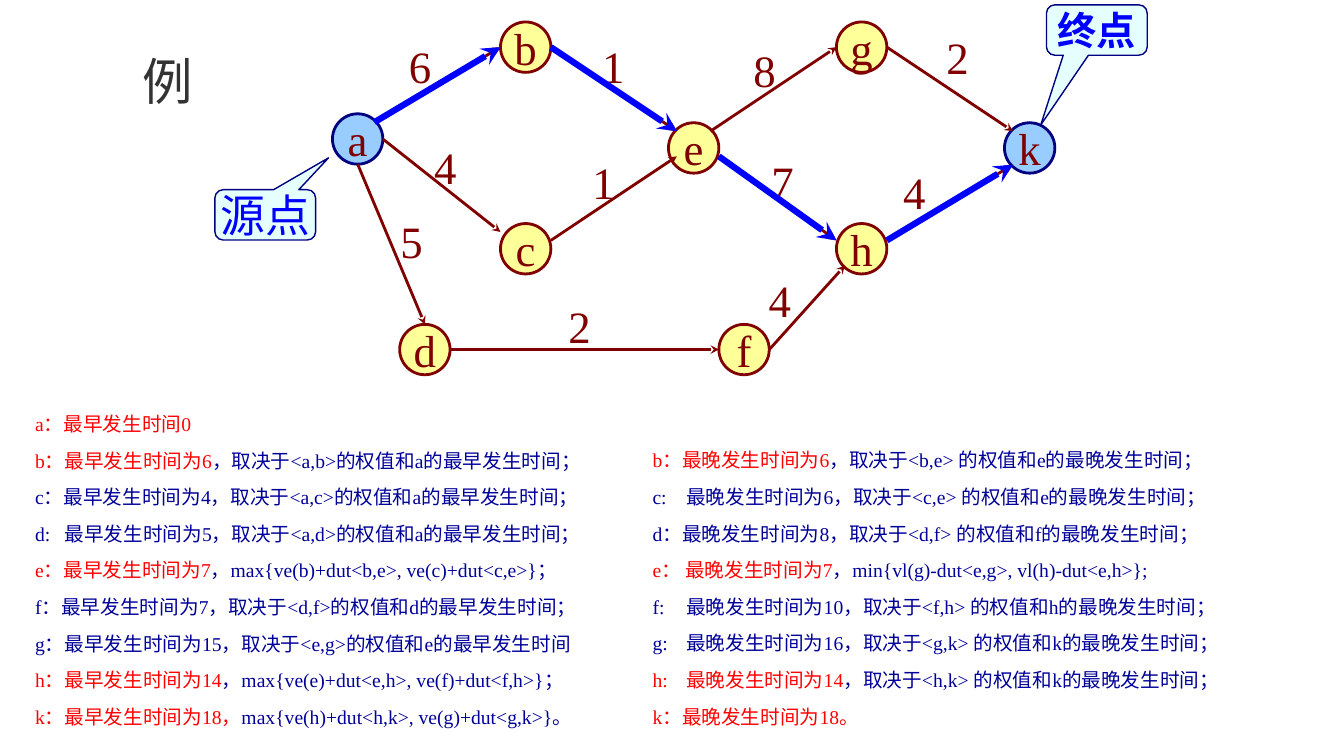
from lxml import etree
from pptx import Presentation
from pptx.dml.color import RGBColor
from pptx.enum.shapes import MSO_CONNECTOR, MSO_SHAPE
from pptx.enum.text import MSO_ANCHOR, MSO_AUTO_SIZE, PP_ALIGN
from pptx.oxml.ns import qn
from pptx.util import Pt

MAROON = RGBColor(0x80, 0x00, 0x00)
NAVY = RGBColor(0x00, 0x00, 0x80)
BLUE = RGBColor(0x00, 0x00, 0xFF)
DARK_BLUE = RGBColor(0x00, 0x00, 0x99)
RED = RGBColor(0xFF, 0x00, 0x00)
GREY = RGBColor(0x33, 0x33, 0x33)
YELLOW = RGBColor(0xFF, 0xFF, 0x99)
SKY = RGBColor(0x99, 0xCC, 0xFF)
PALE_CYAN = RGBColor(0xCC, 0xFF, 0xFF)

RADIUS = 18
NODES = {
    "a": (255.5, 99.3), "b": (375.5, 33.7), "c": (375.5, 177.7),
    "d": (303.5, 249.7), "e": (495.5, 105.7), "f": (531.5, 249.7),
    "g": (615.5, 33.7), "h": (615.5, 177.7), "k": (735.5, 105.7),
}
ENDS = ("a", "k")
EDGES = [
    ("a", (12, -12), "b", (-18, 0), "6", (285, 24)),
    ("a", (18, 0), "c", (-18, -12), "4", (303, 96)),
    ("c", (18, -6), "e", (-12, 6), "1", (416, 107)),
    ("b", (18, 0), "e", (-12, -12), "1", (423, 24)),
    ("e", (12, -12), "g", (-18, 0), "8", (531, 27)),
    ("g", (18, 0), "k", (-12, -12), "2", (669, 18)),
    ("h", (18, -6), "k", (-12, 12), "4", (638, 114)),
    ("e", (18, 6), "h", (-18, -6), "7", (544, 106)),
    ("a", (0, 18), "d", (0, -18), "5", (279, 149)),
    ("d", (18, 0), "f", (-18, 0), "2", (399, 209.5)),
    ("f", (18, 0), "h", (-12, 12), "4", (542, 191.5)),
]
CRITICAL = ("ab", "be", "eh", "hk")

EARLIEST = [
    ("a：最早发生时间0", ""),
    ("b：最早发生时间为6", "，取决于<a,b>的权值和a的最早发生时间；"),
    ("", "c：最早发生时间为4，取决于<a,c>的权值和a的最早发生时间；"),
    ("", "d:\t最早发生时间为5，取决于<a,d>的权值和a的最早发生时间；"),
    ("e：最早发生时间为7", "，max{ve(b)+dut<b,e>, ve(c)+dut<c,e>}；"),
    ("", "f：最早发生时间为7，取决于<d,f>的权值和d的最早发生时间；"),
    ("", "g：最早发生时间为15，取决于<e,g>的权值和e的最早发生时间"),
    ("h：最早发生时间为14", "，max{ve(e)+dut<e,h>, ve(f)+dut<f,h>}；"),
    ("k：最早发生时间为18，", "max{ve(h)+dut<h,k>, ve(g)+dut<g,k>}。"),
]
LATEST = [
    ("b：最晚发生时间为6", "，取决于<b,e> 的权值和e的最晚发生时间；"),
    ("", "c:\t最晚发生时间为6，取决于<c,e> 的权值和e的最晚发生时间；"),
    ("", "d：最晚发生时间为8，取决于<d,f> 的权值和f的最晚发生时间；"),
    ("e： 最晚发生时间为7", "，min{vl(g)-dut<e,g>, vl(h)-dut<e,h>};"),
    ("", "f:\t最晚发生时间为10，取决于<f,h> 的权值和h的最晚发生时间；"),
    ("", "g:\t最晚发生时间为16，取决于<g,k> 的权值和k的最晚发生时间；"),
    ("h:\t最晚发生时间为14", "，取决于<h,k> 的权值和k的最晚发生时间；"),
    ("k：最晚发生时间为18。", ""),
]


class Board:
    font = "Times New Roman"

    def __init__(self, s):
        self.s = s
        self.shapes = s.shapes

    def open_group(self):
        self.shapes = self.s.shapes.add_group_shape().shapes

    def close_group(self):
        self.shapes = self.s.shapes

    def style(self, r, size, color, bold=False):
        r.font.name = self.font
        r.font.size = Pt(size)
        r.font.bold = bold
        r.font.color.rgb = color

    def shape(self, kind, box, fill, line, width, text, size, color, bold=False):
        sp = self.shapes.add_shape(kind, *map(Pt, box))
        sp.shadow.inherit = False
        sp.fill.solid()
        sp.fill.fore_color.rgb = fill
        sp.line.color.rgb = line
        sp.line.width = Pt(width)
        tf = sp.text_frame
        tf.text = text
        tf.word_wrap = False
        tf.vertical_anchor = MSO_ANCHOR.MIDDLE
        p = tf.paragraphs[0]
        p.alignment = PP_ALIGN.CENTER
        self.style(p.runs[0], size, color, bold)
        return sp

    def node(self, name):
        x, y = NODES[name]
        fill, line = (SKY, NAVY) if name in ENDS else (YELLOW, MAROON)
        box = (x - RADIUS, y - RADIUS, 2 * RADIUS, 2 * RADIUS)
        self.shape(MSO_SHAPE.OVAL, box, fill, line, 2, name, 32, MAROON)

    def callout(self, x, y, text, size, bold, tip):
        sp = self.shape(MSO_SHAPE.ROUNDED_RECTANGULAR_CALLOUT, (x, y, 72, 36),
                        PALE_CYAN, NAVY, 1, text, size, BLUE, bold)
        for i, value in enumerate((*tip, 0.167)):
            sp.adjustments[i] = value
        rgb = sp.element.spPr.find(qn("a:solidFill"))[0]
        etree.SubElement(rgb, qn("a:alpha"), val="50000")

    def arrow(self, edge, color, width):
        start, out, end, into = edge[:4]
        points = [n + d for name, shift in ((start, out), (end, into))
                  for n, d in zip(NODES[name], shift)]
        cx = self.shapes.add_connector(MSO_CONNECTOR.STRAIGHT, *map(Pt, points))
        cx.line.color.rgb = color
        cx.line.width = Pt(width)
        spPr = cx.element.spPr
        etree.SubElement(spPr.find(qn("a:ln")), qn("a:tailEnd"), type="stealth")
        etree.SubElement(spPr, qn("a:effectLst"))

    def text_box(self, box, wrap=True):
        tf = self.shapes.add_textbox(*map(Pt, box)).text_frame
        tf.word_wrap = wrap
        tf.auto_size = MSO_AUTO_SIZE.SHAPE_TO_FIT_TEXT
        return tf

    def label(self, box, text, size, color, wrap):
        tf = self.text_box(box, wrap)
        tf.text = text
        self.style(tf.paragraphs[0].runs[0], size, color)

    def event_list(self, box, rows, tab):
        tf = self.text_box(box)
        for i, row in enumerate(rows):
            p = tf.add_paragraph() if i else tf.paragraphs[0]
            p.line_spacing = 1.2
            p.space_before = Pt(6 if i else 0)
            if "\t" in "".join(row):
                tabs = etree.SubElement(p._p.get_or_add_pPr(), qn("a:tabLst"))
                etree.SubElement(tabs, qn("a:tab"), pos=str(int(Pt(tab))), algn="l")
            for text, color in zip(row, (RED, DARK_BLUE)):
                if text:
                    r = p.add_run()
                    r.text = text
                    self.style(r, 14, color)


def main():
    prs = Presentation()
    prs.slide_width, prs.slide_height = Pt(960), Pt(540)
    board = Board(prs.slides.add_slide(prs.slide_layouts[6]))

    board.open_group()
    for name in NODES:
        board.node(name)
    for edge in EDGES:
        board.arrow(edge, MAROON, 2)
    for *_, weight, (x, y) in EDGES:
        board.label((x, y, 30, 45.5), weight, 32, MAROON, False)
    board.close_group()

    for edge in EDGES:
        if edge[0] + edge[2] in CRITICAL:
            board.arrow(edge, BLUE, 4.5)
    board.event_list((18, 287.3, 431, 237), EARLIEST, 21)
    board.callout(153.5, 135.5, "源点", 32, False, (0.628, -1.132))
    board.callout(747.5, 3.5, "终点", 28, True, (-0.557, 1.885))
    board.event_list((459, 313.3, 481, 211), LATEST, 24)
    board.label((95, 32.5, 68.5, 51), "例", 36, GREY, True)
    prs.save("out.pptx")


if __name__ == "__main__":
    main()
